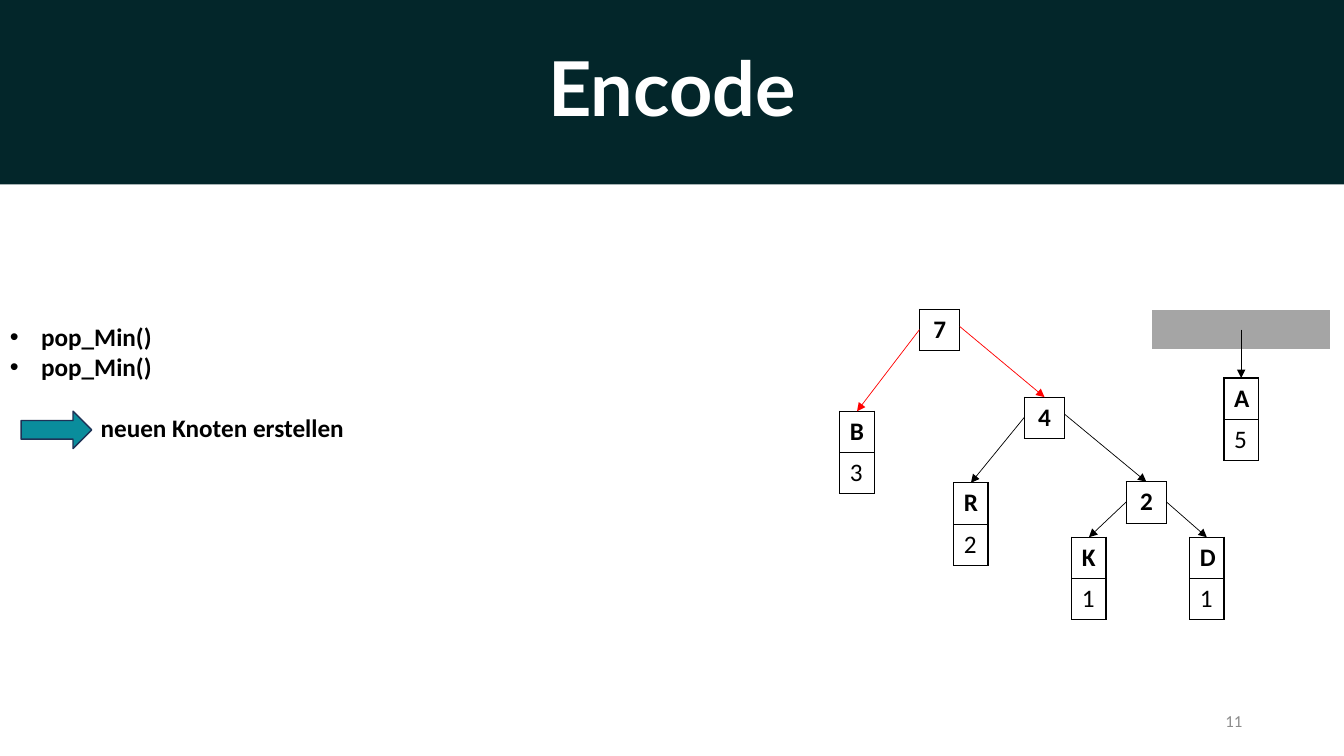
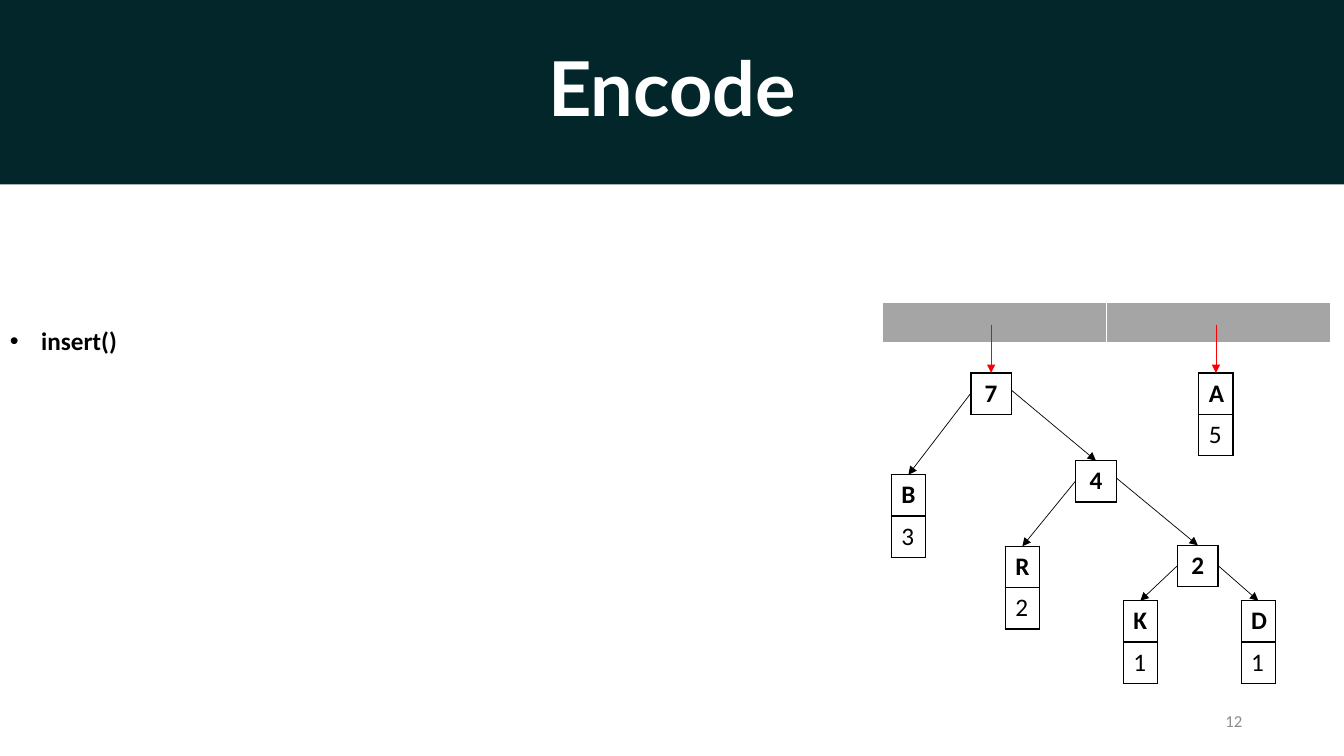
from dataclasses import dataclass
from typing import Optional

from lxml import etree
from pptx import Presentation, oxml, slide as sl, table as tb
from pptx.dml.color import RGBColor
from pptx.enum import shapes, text
from pptx.oxml.ns import qn
from pptx.util import Inches, Length, Pt

DARK = RGBColor(0x03, 0x26, 0x2A)
TEAL = RGBColor(0x0A, 0x8D, 0x9C)
NAVY = RGBColor(0x1E, 0x32, 0x56)
GREY = RGBColor(0xA5, 0xA5, 0xA5)
PALE = RGBColor(0x8C, 0x8C, 0x8C)
BLACK = RGBColor(0, 0, 0)
WHITE = RGBColor(0xFF, 0xFF, 0xFF)
RED = RGBColor(0xFF, 0, 0)

WIDTH = 13.33
ROW = 0.41
INNER = 0.4
LEAF = 0.34
HOOK = 0.48


@dataclass(frozen=True)
class Node:
    x: float
    y: float
    label: str
    count: Optional[str] = None

    @property
    def width(self) -> float:
        return LEAF if self.count else INNER

    @property
    def mid(self) -> float:
        return self.x + self.width / 2


@dataclass(frozen=True)
class Edge:
    start: str
    end: str
    drop: float = 0.2


@dataclass(frozen=True)
class Queue:
    x: float
    y: float
    width: float
    slots: int


@dataclass(frozen=True)
class Step:
    number: int
    top: float
    calls: tuple[str, ...]
    result: Optional[str]
    queue: Queue
    shift: tuple[float, float]
    single: Node
    fresh: RGBColor
    hook: RGBColor
    hang_root: bool


TREE = {
    "7": Node(9.12, 3.07, "7"),
    "4": Node(10.16, 3.94, "4"),
    "2": Node(11.17, 4.78, "2"),
    "B": Node(8.33, 4.08, "B", "3"),
    "R": Node(9.46, 4.79, "R", "2"),
    "K": Node(10.63, 5.33, "K", "1"),
    "D": Node(11.8, 5.33, "D", "1"),
}
EDGES = [
    Edge("7", "B"), Edge("7", "4", 0.17),
    Edge("4", "R"), Edge("4", "2", 0.17),
    Edge("2", "K"), Edge("2", "D"),
]
STEPS = [
    Step(11, 3.14, ("pop_Min()", "pop_Min()"), "neuen Knoten erstellen",
         Queue(11.42, 3.07, 1.78, 1), (0, 0),
         Node(12.14, 3.75, "A", "5"), RED, BLACK, False),
    Step(12, 3.18, ("insert()",), None,
         Queue(8.75, 3, 4.45, 2), (0.51, 0.63),
         Node(11.89, 3.7, "A", "5"), BLACK, RED, True),
]


def style(par, size: float, color: RGBColor, bold: bool = False,
          face: str = "Calibri") -> None:
    font = par.font
    font.name, font.size, font.bold = face, Pt(size), bold
    font.color.rgb = color


def border(cell, color: RGBColor, base: float = 1) -> None:
    props = cell._tc.get_or_add_tcPr()
    for side, width in (("L", 1), ("R", 1), ("T", 1), ("B", base)):
        line = etree.SubElement(props, qn(f"a:ln{side}"), w=str(Pt(width)))
        fill = etree.SubElement(line, qn("a:solidFill"))
        etree.SubElement(fill, qn("a:srgbClr"), val=str(color))


def paint(cell, fill: RGBColor, line: RGBColor, base: float = 1) -> None:
    border(cell, line, base)
    cell.fill.solid()
    cell.fill.fore_color.rgb = fill


def add_grid(page: sl.Slide, rows: int, cols: int, x: float, y: float,
             width: float) -> tb.Table:
    grid = page.shapes.add_table(rows, cols, Inches(x), Inches(y),
                                 Inches(width), Inches(ROW * rows)).table
    grid.first_row = grid.horz_banding = False
    return grid


def add_queue(page: sl.Slide, queue: Queue) -> None:
    grid = add_grid(page, 1, queue.slots, queue.x, queue.y, queue.width)
    for cell in grid.iter_cells():
        paint(cell, GREY, WHITE, 3)


def add_node(page: sl.Slide, node: Node) -> None:
    words = [node.label] + ([node.count] if node.count else [])
    grid = add_grid(page, len(words), 1, node.x, node.y, node.width)
    for row, word in enumerate(words):
        cell = grid.cell(row, 0)
        paint(cell, WHITE, BLACK)
        cell.text = word
        par = cell.text_frame.paragraphs[0]
        par.alignment = text.PP_ALIGN.LEFT if node.count else text.PP_ALIGN.CENTER
        style(par, 18, BLACK, row == 0)


def add_arrow(page: sl.Slide, x: float, y: float, node: Node,
              color: RGBColor) -> None:
    arrow = page.shapes.add_connector(
        shapes.MSO_CONNECTOR.STRAIGHT,
        Inches(x), Inches(y), Inches(node.mid), Inches(node.y))
    arrow.line.color.rgb = color
    arrow.line.width = Pt(0.5)
    etree.SubElement(arrow.line._get_or_add_ln(), qn("a:tailEnd"), type="triangle")
    etree.SubElement(arrow._element.spPr, qn("a:effectLst"))


def add_edge(page: sl.Slide, start: Node, end: Node, drop: float,
             color: RGBColor) -> None:
    x = start.x if end.mid < start.mid else start.x + start.width
    add_arrow(page, x, start.y + drop, end, color)


def add_hook(page: sl.Slide, node: Node, color: RGBColor) -> None:
    add_arrow(page, node.mid, node.y - HOOK, node, color)


def add_block(page: sl.Slide, kind: shapes.MSO_SHAPE, x: float, y: float,
              width: float, height: float, fill: RGBColor):
    block = page.shapes.add_shape(kind, Inches(x), Inches(y),
                                  Inches(width), Inches(height))
    block.shadow.inherit = False
    block.fill.solid()
    block.fill.fore_color.rgb = fill
    return block


def add_box(page: sl.Slide, x: float, y: float, width: float, height: float):
    frame = page.shapes.add_textbox(Inches(x), Inches(y), Inches(width),
                                    Inches(height)).text_frame
    frame.word_wrap = True
    return frame


def add_frame(page: sl.Slide, number: int) -> None:
    band = add_block(page, shapes.MSO_SHAPE.RECTANGLE, 0, 0, WIDTH, 1.83, DARK)
    band.line.fill.background()
    band.text_frame.vertical_anchor = text.MSO_ANCHOR.MIDDLE
    title = band.text_frame.paragraphs[0]
    title.text = "Encode"
    title.alignment = text.PP_ALIGN.CENTER
    title.line_spacing = 0.9
    style(title, 54, WHITE, True, "Lato")

    foot = add_box(page, 9.42, 6.95, 3, 0.4)
    foot.vertical_anchor = text.MSO_ANCHOR.MIDDLE
    par = foot.paragraphs[0]
    par.text = str(number)
    par.alignment = text.PP_ALIGN.RIGHT
    style(par, 12, PALE)


def indent(par, left: Length, first: Length = Length(0)) -> oxml.CT_TextParagraphProperties if hasattr(oxml, "CT_TextParagraphProperties") else object:
    props = par._p.get_or_add_pPr()
    props.set("marL", str(left))
    props.set("indent", str(first))
    return props


def add_notes(page: sl.Slide, step: Step) -> None:
    frame = add_box(page, 0, step.top, 4.29, 1.31 if step.result else 0.4)
    for row, call in enumerate(step.calls):
        par = frame.add_paragraph() if row else frame.paragraphs[0]
        par.text = call
        props = indent(par, Inches(0.31), Inches(-0.31))
        etree.SubElement(props, qn("a:buFont"), typeface="Arial")
        etree.SubElement(props, qn("a:buChar"), char="•")
        style(par, 18, BLACK, True)
    if step.result:
        par = frame.add_paragraph()
        par.text = step.result
        indent(par, Inches(0.9))
        par.space_before = Pt(22)
        style(par, 18, BLACK, True)
        arrow = add_block(page, shapes.MSO_SHAPE.RIGHT_ARROW,
                          0.21, 4.08, 0.7, 0.37, TEAL)
        arrow.line.color.rgb = NAVY
        arrow.line.width = Pt(1)


def add_step(page: sl.Slide, step: Step) -> None:
    add_frame(page, step.number)
    add_queue(page, step.queue)
    right, down = step.shift
    tree = {key: Node(node.x + right, node.y + down, node.label, node.count)
            for key, node in TREE.items()}
    for node in (*tree.values(), step.single):
        add_node(page, node)
    for edge in EDGES:
        color = step.fresh if edge.start == "7" else BLACK
        add_edge(page, tree[edge.start], tree[edge.end], edge.drop, color)
    add_hook(page, step.single, step.hook)
    if step.hang_root:
        add_hook(page, tree["7"], step.hook)
    add_notes(page, step)


def main() -> None:
    deck = Presentation()
    deck.slide_width, deck.slide_height = Inches(WIDTH), Inches(7.5)
    for step in STEPS:
        add_step(deck.slides.add_slide(deck.slide_layouts[6]), step)
    deck.save("out.pptx")


if __name__ == "__main__":
    main()
